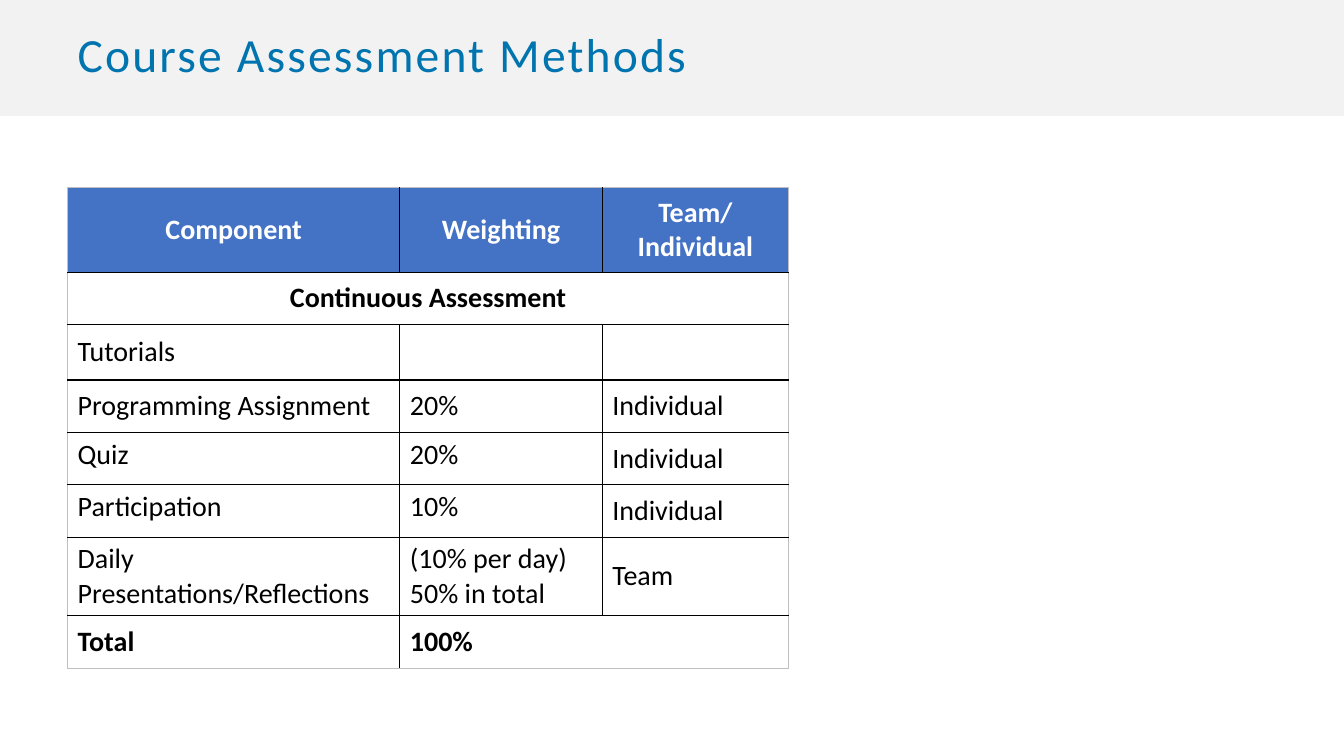
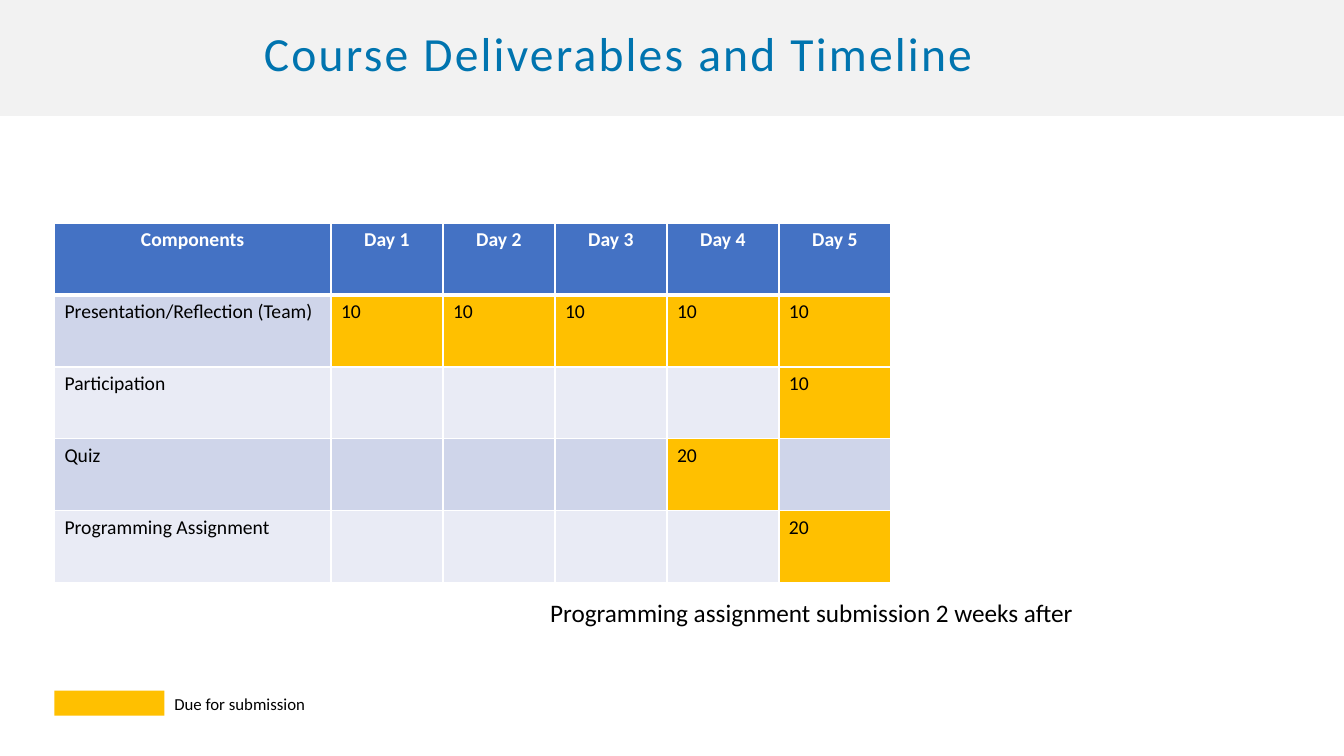
from collections import namedtuple

import pptx
import pptx.dml.color
import pptx.enum.shapes
import pptx.enum.text
import pptx.oxml
import pptx.oxml.ns
import pptx.util

COLOURS = {
    "band": "F2F2F2",
    "title": "0074AF",
    "header": "4472C4",
    "due": "FFC000",
    "odd_row": "CFD5EA",
    "even_row": "E9EBF5",
    "text": "000000",
    "white": "FFFFFF",
    "outline": "BFBFBF",
}
FONT = "Calibri"
WIDTH, HEIGHT = pptx.util.Inches(13.333), pptx.util.Inches(7.5)
CENTER = pptx.enum.text.PP_ALIGN.CENTER
TOP = pptx.enum.text.MSO_ANCHOR.TOP
MIDDLE = pptx.enum.text.MSO_ANCHOR.MIDDLE

# Left, top, width and height in percent of the slide's size.
Box = namedtuple("Box", "left top width height")

ASSESSMENT_COLUMNS = (3.3, 2.01, 1.85)
ASSESSMENT_HEIGHTS = (0.84, 0.52, 0.55, 0.52, 0.52, 0.52, 0.78, 0.52)
ASSESSMENT_ROWS = [
    ("Component", "Weighting", "Team/ Individual"),
    ("Continuous Assessment", None, None),
    ("Tutorials", "", ""),
    ("Programming Assignment", "20%", "Individual"),
    ("Quiz", "20%", "Individual"),
    ("Participation", "10%", "Individual"),
    ("Daily Presentations/Reflections", "(10% per day)\n50% in total", "Team"),
    ("Total", "100%", None),
]
TIMELINE_COLUMNS = (2.74, 1.11, 1.11, 1.11, 1.11, 1.11)
TIMELINE_ROWS = [
    ("Components", "Day 1", "Day 2", "Day 3", "Day 4", "Day 5"),
    ("Presentation/Reflection (Team)", "10", "10", "10", "10", "10"),
    ("Participation", "", "", "", "", "10"),
    ("Quiz", "", "", "", "20", ""),
    ("Programming Assignment", "", "", "", "", "20"),
]


def rgb(name):
    return pptx.dml.color.RGBColor.from_string(COLOURS[name])


def emu(box):
    return (int(WIDTH * box.left / 100), int(HEIGHT * box.top / 100),
            int(WIDTH * box.width / 100), int(HEIGHT * box.height / 100))


def inside(box, left, top, width, height):
    """Return the part of a box given by shares of its width and height."""
    return Box(box.left + box.width * left, box.top + box.height * top,
               box.width * width, box.height * height)


def write(text_frame, text, size, colour="text", bold=False, align=None):
    text_frame.text = text
    for paragraph in text_frame.paragraphs:
        paragraph.alignment = align
        for run in paragraph.runs:
            run.font.name = FONT
            run.font.size = pptx.util.Pt(size)
            run.font.bold = bold
            run.font.color.rgb = rgb(colour)


def add_rectangle(slide, box, colour):
    shape = slide.shapes.add_shape(
        pptx.enum.shapes.MSO_SHAPE.RECTANGLE, *emu(box))
    shape.shadow.inherit = False
    shape.fill.solid()
    shape.fill.fore_color.rgb = rgb(colour)
    shape.line.fill.background()


def add_label(slide, box, text, size):
    text_frame = slide.shapes.add_textbox(*emu(box)).text_frame
    text_frame.word_wrap = False
    text_frame.auto_size = pptx.enum.text.MSO_AUTO_SIZE.SHAPE_TO_FIT_TEXT
    write(text_frame, text, size)


def add_titled_slide(presentation, title, box):
    slide = presentation.slides.add_slide(presentation.slide_layouts[6])
    add_rectangle(slide, Box(0, 0, 100, 15.33), "band")
    text_frame = slide.shapes.add_textbox(*emu(box)).text_frame
    text_frame.word_wrap = True
    text_frame.vertical_anchor = MIDDLE
    write(text_frame, title, 34, "title")
    paragraph = text_frame.paragraphs[0]
    paragraph.line_spacing = 0.9
    paragraph.runs[0].font._element.set("spc", "160")
    return slide


def set_borders(cell, borders):
    """Draw borders given as {side: (colour, points)}; sides are L, R, T, B."""
    properties = cell._tc.get_or_add_tcPr()
    for side in "LRTB":
        if side in borders:
            colour, points = borders[side]
            properties.append(pptx.oxml.parse_xml(
                f'<a:ln{side} {pptx.oxml.ns.nsdecls("a")} '
                f'w="{int(pptx.util.Pt(points))}"><a:solidFill>'
                f'<a:srgbClr val="{COLOURS[colour]}"/></a:solidFill>'
                f'</a:ln{side}>'))


def fill_cell(cell, colour):
    if colour:
        cell.fill.solid()
        cell.fill.fore_color.rgb = rgb(colour)
    else:
        cell.fill.background()


def add_grid(slide, box, columns, heights):
    """Add an unstyled table with tracks in the given proportions."""
    left, top, width, height = emu(box)
    table = slide.shapes.add_table(
        len(heights), len(columns), left, top, width, height).table
    table.first_row = table.horz_banding = False
    for column, share in zip(table.columns, columns):
        column.width = int(width * share / sum(columns))
    for row, share in zip(table.rows, heights):
        row.height = int(height * share / sum(heights))
    return table


def add_assessment_table(slide, box):
    table = add_grid(slide, box, ASSESSMENT_COLUMNS, ASSESSMENT_HEIGHTS)
    last_row, last_column = len(ASSESSMENT_ROWS) - 1, len(ASSESSMENT_COLUMNS) - 1
    table.cell(1, 0).merge(table.cell(1, last_column))
    table.cell(last_row, 1).merge(table.cell(last_row, last_column))
    outer, inner = ("outline", 0.5), ("text", 1)
    for r, texts in enumerate(ASSESSMENT_ROWS):
        for c, text in enumerate(texts):
            cell = table.cell(r, c)
            borders = {"T": inner if r else outer,
                       "B": inner if r < last_row else outer}
            if text is not None:
                borders["L"] = inner if c else outer
            if c == last_column or texts[c + 1] is None:
                borders["R"] = outer
            else:
                borders["R"] = inner
            set_borders(cell, borders)
            fill_cell(cell, None if r else "header")
            if text:
                write(cell.text_frame, text, 20, "text" if r else "white",
                      bold=r in (0, 1, last_row),
                      align=CENTER if r < 2 else None)
            top_aligned = texts[0] in ("Quiz", "Participation") and c < last_column
            cell.vertical_anchor = TOP if top_aligned else MIDDLE


def add_timeline_table(slide, box):
    table = add_grid(slide, box, TIMELINE_COLUMNS, [1] * len(TIMELINE_ROWS))
    thin, thick = ("white", 1), ("white", 3)
    for r, texts in enumerate(TIMELINE_ROWS):
        row_colour = "odd_row" if r % 2 else "even_row"
        for c, text in enumerate(texts):
            cell = table.cell(r, c)
            set_borders(cell, {"L": thin, "R": thin,
                               "T": thick if r == 1 else thin,
                               "B": thick if r == 0 else thin})
            if r == 0:
                fill_cell(cell, "header")
                write(cell.text_frame, text, 14, "white", True, CENTER)
            else:
                fill_cell(cell, "due" if c and text else row_colour)
                if text:
                    write(cell.text_frame, text, 14)


def add_legend(slide, box):
    add_label(slide, inside(box, 0.42, 0, 0.58, 1), "Due for submission", 12)
    add_rectangle(slide, inside(box, 0, 0.07, 0.42, 0.83), "due")


def build_assessment_slide(presentation):
    slide = add_titled_slide(presentation, "Course Assessment Methods",
                             Box(5.03, 0, 90, 15.07))
    add_assessment_table(slide, Box(5.03, 24.8, 53.65, 63.6))


def build_timeline_slide(presentation):
    slide = add_titled_slide(presentation, "Course Deliverables and Timeline",
                             Box(18.9, 0, 62.25, 14.93))
    add_timeline_table(slide, Box(4.05, 29.5, 62.25, 47.6))
    add_legend(slide, Box(4.05, 91.07, 19.5, 4))
    add_label(slide, Box(40.2, 78.4, 40.88, 5.33),
              "Programming assignment submission 2 weeks after", 18)


def main():
    presentation = pptx.Presentation()
    presentation.slide_width, presentation.slide_height = WIDTH, HEIGHT
    build_assessment_slide(presentation)
    build_timeline_slide(presentation)
    presentation.save("out.pptx")


if __name__ == "__main__":
    main()
